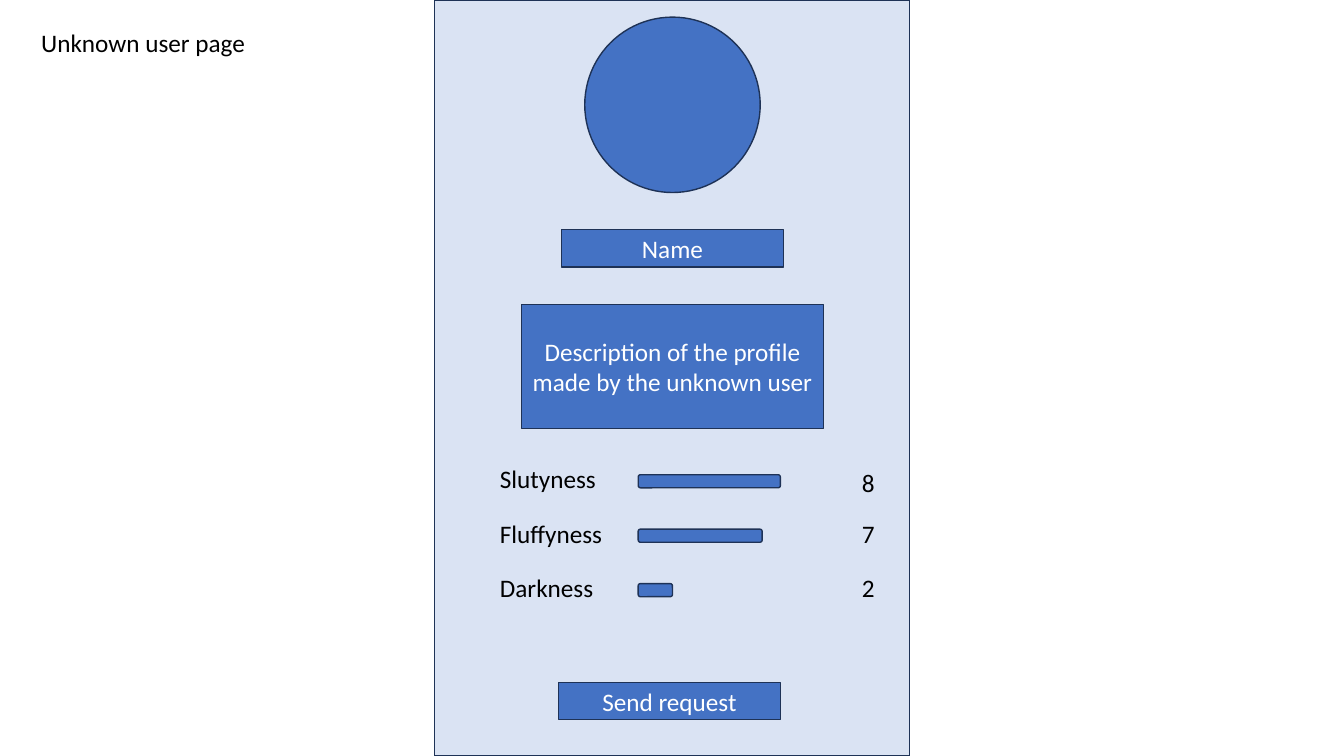
from pptx import Presentation
from pptx.dml.color import RGBColor
from pptx.enum.shapes import MSO_SHAPE as Kind
from pptx.enum.text import MSO_ANCHOR as Anchor, MSO_AUTO_SIZE as Fit, PP_ALIGN as Align
from pptx.util import Inches, Pt

TITLE = "Unknown user page"
PANEL, BLUE, EDGE = "DAE3F3", "4472C4", "1E3256"
BLACK, WHITE = "000000", "FFFFFF"
BOXES = [
    ("Name", 5.57, 2.28, 2.2, 0.37),
    ("Description of the profile made by the unknown user ", 5.17, 3.02, 3, 1.23),
    ("Send request", 5.54, 6.77, 2.2, 0.37),
]
TRAITS = [
    ("Slutyness", "8", 1.15, 1.41, 0.04),
    ("Fluffyness", "7", 1.23, 1.23, 0),
    ("Darkness", "2", 1.15, 0.34, 0),
]
TOP, STEP = 4.55, 0.54

deck = Presentation()
deck.slide_width, deck.slide_height = Inches(13.33), Inches(7.5)
slide = deck.slides.add_slide(deck.slide_layouts[6])


def paint(color, value):
    color.rgb = RGBColor.from_string(value)


def write(frame, text, color, align):
    para = frame.paragraphs[0]
    para.text = text
    para.alignment = align
    para.font.name = "Calibri"
    para.font.size = Pt(18)
    paint(para.font.color, color)


def add_box(kind, x, y, w, h, fill=BLUE, text=""):
    box = slide.shapes.add_shape(kind, Inches(x), Inches(y), Inches(w), Inches(h))
    box.shadow.inherit = False
    box.fill.solid()
    paint(box.fill.fore_color, fill)
    paint(box.line.color, EDGE)
    box.line.width = Pt(1)
    if text:
        box.text_frame.word_wrap = True
        box.text_frame.vertical_anchor = Anchor.MIDDLE
        write(box.text_frame, text, WHITE, Align.CENTER)


def add_label(text, x, y, w, wrap=True):
    frame = slide.shapes.add_textbox(Inches(x), Inches(y), Inches(w), Inches(0.4)).text_frame
    frame.word_wrap = wrap
    frame.auto_size = Fit.SHAPE_TO_FIT_TEXT
    write(frame, text, BLACK, Align.LEFT)


add_box(Kind.RECTANGLE, 4.31, 0, 4.71, 7.5, PANEL)
add_label(TITLE, 0.31, 0.22, 2.25, False)
add_box(Kind.FLOWCHART_CONNECTOR, 5.8, 0.17, 1.74, 1.74)
for text, *place in BOXES:
    add_box(Kind.RECTANGLE, *place, text=text)
for row, (trait, score, wide, bar, drop) in enumerate(TRAITS):
    y = TOP + row * STEP
    add_label(trait, 4.86, y, wide)
    add_box(Kind.ROUNDED_RECTANGLE, 6.33, y + 0.16, bar, 0.13)
    add_label(score, 8.45, y + drop, 0.37)

deck.save("out.pptx")
